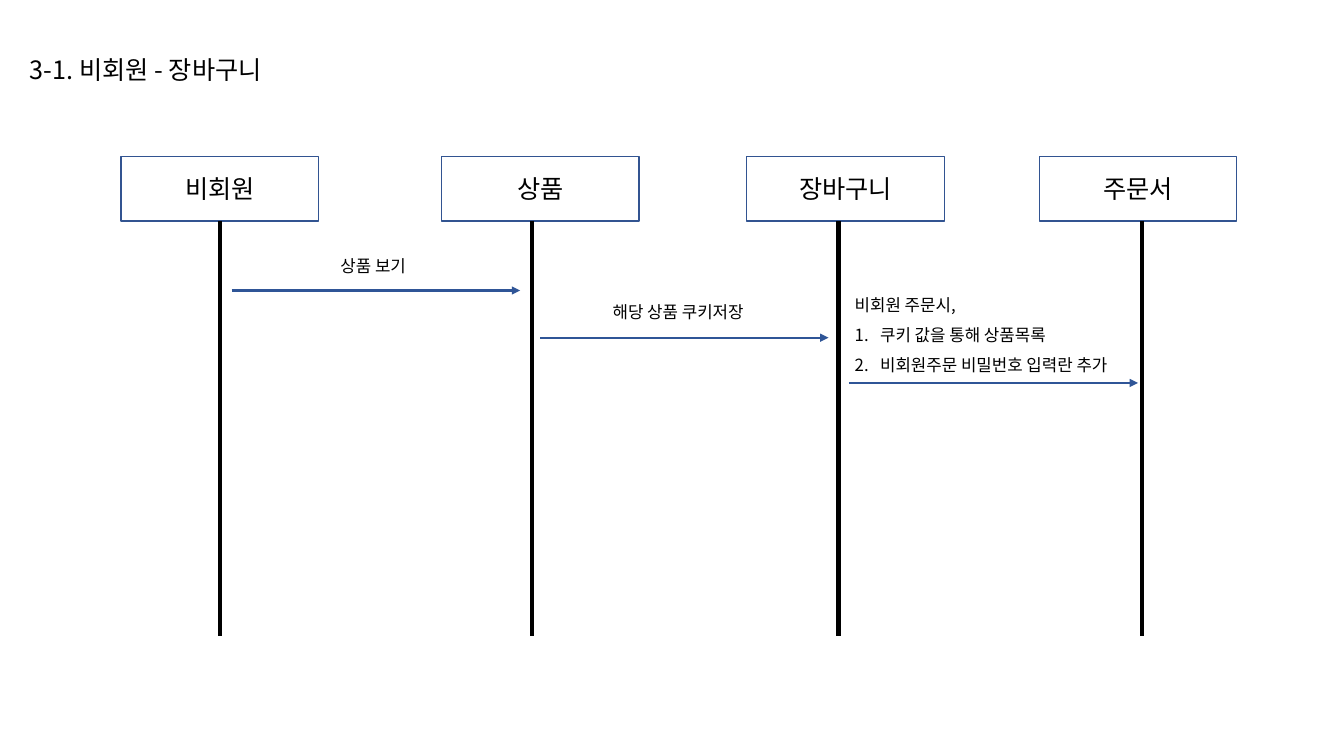
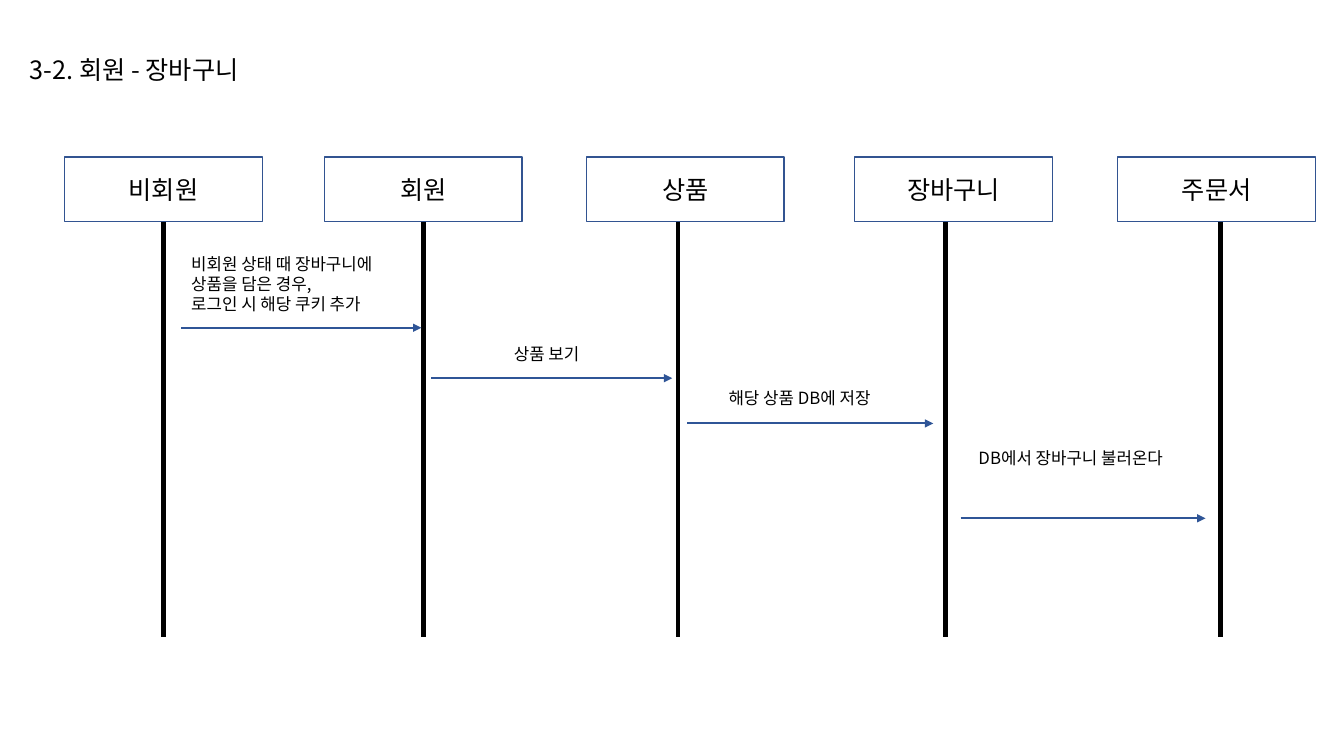
import pptx
import pptx.dml.color
import pptx.enum.shapes
import pptx.enum.text
import pptx.oxml
import pptx.oxml.ns
import pptx.util
from pptx.util import Cm

FONT = "Noto Sans CJK KR"
BLACK, BOX_BLUE, ARROW_BLUE = "000000", "325491", "2F5597"
BOX_WIDTH, BOX_HEIGHT, LIFELINE_LENGTH = 4.98, 1.63, 10.46
LINE_HEIGHT = 0.77

DIAGRAMS = [
    {
        "title": "3-1. 비회원 - 장바구니",
        "top": 3.94,
        "actors": [
            ("비회원", 3.05, 5.54),
            ("상품", 11.13, 13.41),
            ("장바구니", 18.82, 21.13),
            ("주문서", 26.19, 28.78),
        ],
        "messages": [
            {"arrow": (5.84, 13.11, 7.32), "label": (8.33, 6.32, 3.25), "lines": ["상품 보기"]},
            {"arrow": (13.61, 20.88, 8.51), "label": (15.19, 7.49, 4.24), "lines": ["해당 상품 쿠키저장"]},
            {
                "arrow": (21.39, 28.68, 9.65),
                "label": (21.29, 7.04, 7.75),
                "lines": ["비회원 주문시,"],
                "numbered": ["쿠키 값을 통해 상품목록", "비회원주문 비밀번호 입력란 추가"],
                "spacing": 1.5,
            },
        ],
    },
    {
        "title": "3-2. 회원 - 장바구니",
        "top": 3.96,
        "actors": [
            ("비회원", 1.63, 4.12),
            ("회원", 8.18, 10.67),
            ("상품", 14.78, 17.09),
            ("장바구니", 21.54, 23.83),
            ("주문서", 28.17, 30.76),
        ],
        "messages": [
            {
                "arrow": (4.57, 10.62, 8.26),
                "label": (4.57, 6.27, 6.07),
                "lines": ["비회원 상태 때 장바구니에 상품을 담은 경우,", "로그인 시 해당 쿠키 추가"],
            },
            {"arrow": (10.87, 16.94, 9.53), "label": (12.7, 8.53, 3.25), "lines": ["상품 보기"]},
            {"arrow": (17.32, 23.52, 10.67), "label": (18.11, 9.65, 4.98), "lines": ["해당 상품 DB에 저장"]},
            {"arrow": (24.21, 30.38, 13.06), "label": (24.41, 11.15, 5.77), "lines": ["DB에서 장바구니 불러온다"]},
        ],
    },
]


def color(value):
    return pptx.dml.color.RGBColor.from_string(value)


def add_element(parent, tag, **attributes):
    element = pptx.oxml.parse_xml(f"<a:{tag} {pptx.oxml.ns.nsdecls('a')}/>")
    for name, value in attributes.items():
        element.set(name, value)
    parent.append(element)


def add_text(paragraph, text, size):
    run = paragraph.add_run()
    run.text = text
    run.font.size = pptx.util.Pt(size)
    run.font.color.rgb = color(BLACK)
    run.font.name = FONT
    add_element(run.font._element, "ea", typeface=FONT)


def add_title(slide, text):
    title = slide.shapes.title
    title.left, title.top, title.width, title.height = Cm(0.5), Cm(1.25), Cm(12), Cm(1.02)
    frame = title.text_frame
    frame.auto_size = pptx.enum.text.MSO_AUTO_SIZE.NONE
    frame.vertical_anchor = pptx.enum.text.MSO_ANCHOR.TOP
    paragraph = frame.paragraphs[0]
    paragraph.alignment = pptx.enum.text.PP_ALIGN.LEFT
    add_text(paragraph, text, 18)


def add_line(slide, start, end, line_color, width):
    points = [Cm(value) for value in (*start, *end)]
    line = slide.shapes.add_connector(pptx.enum.shapes.MSO_CONNECTOR.STRAIGHT, *points)
    line.line.color.rgb = color(line_color)
    line.line.width = pptx.util.Pt(width)
    add_element(line._element.spPr, "effectLst")
    return line


def add_actor(slide, name, left, lifeline_x, top):
    box = slide.shapes.add_shape(
        pptx.enum.shapes.MSO_SHAPE.RECTANGLE, Cm(left), Cm(top), Cm(BOX_WIDTH), Cm(BOX_HEIGHT)
    )
    box.shadow.inherit = False
    box.fill.background()
    box.line.color.rgb = color(BOX_BLUE)
    box.line.width = pptx.util.Pt(1)
    box.text_frame.vertical_anchor = pptx.enum.text.MSO_ANCHOR.MIDDLE
    paragraph = box.text_frame.paragraphs[0]
    paragraph.alignment = pptx.enum.text.PP_ALIGN.CENTER
    add_text(paragraph, name, 18)

    bottom = top + BOX_HEIGHT
    lifeline = add_line(slide, (lifeline_x, bottom), (lifeline_x, bottom + LIFELINE_LENGTH), BLACK, 3)
    if abs(left + BOX_WIDTH / 2 - lifeline_x) < 0.02:
        lifeline.begin_connect(box, 2)


def add_message(slide, message):
    start, end, y = message["arrow"]
    arrow = add_line(slide, (start, y), (end, y), ARROW_BLUE, 1.5)
    add_element(arrow.line._get_or_add_ln(), "tailEnd", type="triangle")

    left, top, width = message["label"]
    lines, numbered = message["lines"], message.get("numbered", [])
    height = LINE_HEIGHT * (len(lines) + len(numbered))
    label = slide.shapes.add_textbox(Cm(left), Cm(top), Cm(width), Cm(height))
    frame = label.text_frame
    frame.word_wrap = True
    for index, text in enumerate(lines + numbered):
        paragraph = frame.add_paragraph() if index else frame.paragraphs[0]
        paragraph.line_spacing = message.get("spacing", 1.0)
        if index >= len(lines):
            properties = paragraph._p.get_or_add_pPr()
            properties.set("marL", str(Cm(0.64)))
            properties.set("indent", str(-Cm(0.64)))
            add_element(properties, "buFont", typeface=FONT)
            add_element(properties, "buAutoNum", type="arabicPeriod")
        add_text(paragraph, text, 12)


def main():
    presentation = pptx.Presentation()
    presentation.slide_width, presentation.slide_height = Cm(33.87), Cm(19.05)
    for diagram in DIAGRAMS:
        slide = presentation.slides.add_slide(presentation.slide_layouts[5])
        add_title(slide, diagram["title"])
        for name, left, lifeline_x in diagram["actors"]:
            add_actor(slide, name, left, lifeline_x, diagram["top"])
        for message in diagram["messages"]:
            add_message(slide, message)
    presentation.save("out.pptx")


if __name__ == "__main__":
    main()
